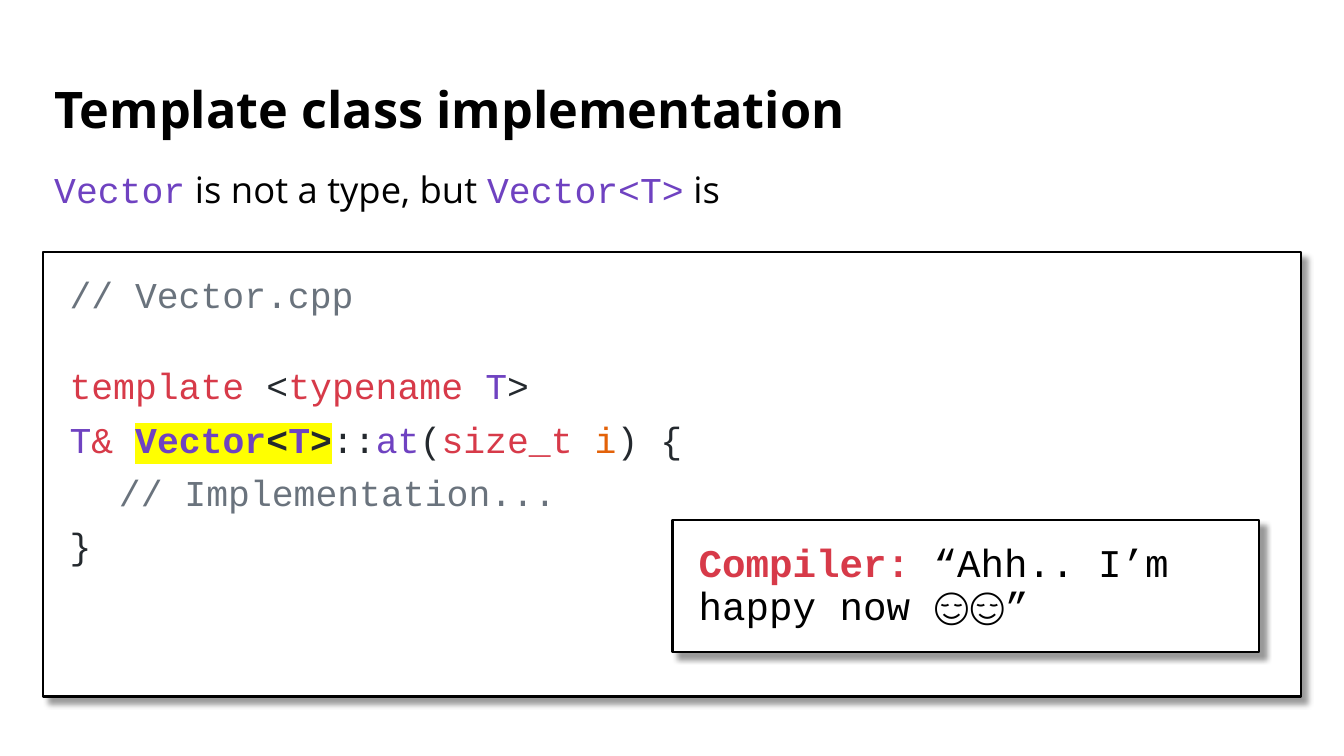
from dataclasses import dataclass

from lxml import etree
from pptx import Presentation
from pptx.dml.color import RGBColor
from pptx.enum import shapes, text
from pptx.oxml import ns
from pptx.util import Inches, Pt


@dataclass(frozen=True)
class Theme:
    sans: str = "Open Sans"
    mono: str = "Courier New"
    black: str = "000000"
    white: str = "FFFFFF"
    gray: str = "6A737D"
    dark: str = "24292E"
    red: str = "D73A49"
    violet: str = "6F42C1"
    orange: str = "E36209"
    yellow: str = "FFFF00"
    title: int = 36
    body: int = 26
    quote: int = 28
    gap: int = 10


class Deck:
    def __init__(self, theme):
        self.theme = theme
        self.prs = Presentation()
        self.prs.slide_width, self.prs.slide_height = Inches(13.33), Inches(7.5)
        self.slide = self.prs.slides.add_slide(self.prs.slide_layouts[6])

    def label(self, at, anchor=text.MSO_ANCHOR.TOP):
        box = self.slide.shapes.add_textbox(*map(Inches, at))
        return self.setup(box, anchor)

    def card(self, at, anchor=text.MSO_ANCHOR.TOP):
        """Add a white outlined box with a soft shadow and wide margins."""
        t = self.theme
        box = self.slide.shapes.add_shape(
            shapes.MSO_SHAPE.RECTANGLE, *map(Inches, at))
        box.fill.solid()
        box.fill.fore_color.rgb = RGBColor.from_string(t.white)
        box.line.color.rgb = RGBColor.from_string(t.black)
        box.line.width = Pt(1.5)
        self.shade(box)
        frame = self.setup(box, anchor)
        frame.margin_left = frame.margin_right = Inches(0.25)
        frame.margin_top = frame.margin_bottom = Inches(0.25)
        return frame

    def shade(self, box):
        box.shadow.inherit = False
        list_ = box.element.spPr.find(ns.qn("a:effectLst"))
        cast = etree.SubElement(
            list_, ns.qn("a:outerShdw"), blurRad=str(Pt(4)), dist=str(Pt(6)),
            dir=str(45 * 60000), algn="tl", rotWithShape="0")
        tint = etree.SubElement(cast, ns.qn("a:srgbClr"), val=self.theme.black)
        etree.SubElement(tint, ns.qn("a:alpha"), val="40000")

    def setup(self, box, anchor):
        frame = box.text_frame
        frame.word_wrap = True
        frame.vertical_anchor = anchor
        return frame

    def para(self, frame, runs, size, lead=0.9, gap=0, indent=0):
        """Fill the empty first paragraph, or add one below the others."""
        p = frame.paragraphs[-1]
        if p.runs:
            p = frame.add_paragraph()
        p.alignment = text.PP_ALIGN.LEFT
        p.line_spacing = lead
        p.space_before = Pt(gap)
        p._p.get_or_add_pPr().set("marL", str(Inches(0.01 + indent)))
        for words, color, *style in runs:
            self.run(p, words, color, size, *style)

    def run(self, p, words, color, size, font=None, bold=False, mark=None):
        r = p.add_run()
        r.text = words
        f = r.font
        f.name, f.size, f.bold = font or self.theme.mono, Pt(size), bold
        f.color.rgb = RGBColor.from_string(color)
        if mark:
            glow = etree.Element(ns.qn("a:highlight"))
            etree.SubElement(glow, ns.qn("a:srgbClr"), val=mark)
            r._r.rPr.find(ns.qn("a:solidFill")).addnext(glow)


def main():
    t = Theme()
    deck = Deck(t)
    left, width = 0.43, 12.47
    middle = text.MSO_ANCHOR.MIDDLE

    title = deck.label((left, 0.69, width, 0.84), middle)
    deck.para(title, [("Template class implementation", t.black, t.sans, True)],
              t.title)

    code = deck.card((left, 2.5, width, 4.41))
    lit = (t.mono, True, t.yellow)
    blank = 27  # height of one skipped code line, in points
    lines = [
        ([("// Vector.cpp", t.gray)], 0, 0),
        ([("template", t.red), (" <", t.dark), ("typename ", t.red),
          ("T", t.violet), (">", t.dark)], blank, 0),
        ([("T", t.violet), ("& ", t.red), ("Vector", t.violet, *lit),
          ("<", t.dark, *lit), ("T", t.violet, *lit), (">", t.dark, *lit),
          ("::", t.dark), ("at", t.violet), ("(", t.dark),
          ("size_t ", t.red), ("i", t.orange), (") {", t.dark)], 0, 0),
        ([("// Implementation...", t.gray)], 0, 0.49),
        ([("}", t.dark)], 0, 0),
    ]
    for runs, skip, indent in lines:
        deck.para(code, runs, t.body, gap=t.gap + skip, indent=indent)

    lead = deck.label((left, 1.69, width, 0.47))
    deck.para(lead, [("Vector", t.violet),
                     (" is not a type, but ", t.black, t.sans),
                     ("Vector<T>", t.violet),
                     (" is", t.black, t.sans)], t.body, 0.8, t.gap)

    quote = deck.card((6.67, 5.16, 5.82, 1.31), middle)
    deck.para(quote, [("Compiler:", t.red, t.mono, True),
                      (" “Ahh.. I’m happy now ", t.black),
                      ("😌😌", t.black), ("”", t.black)], t.quote, gap=t.gap)

    deck.prs.save("out.pptx")


if __name__ == "__main__":
    main()
